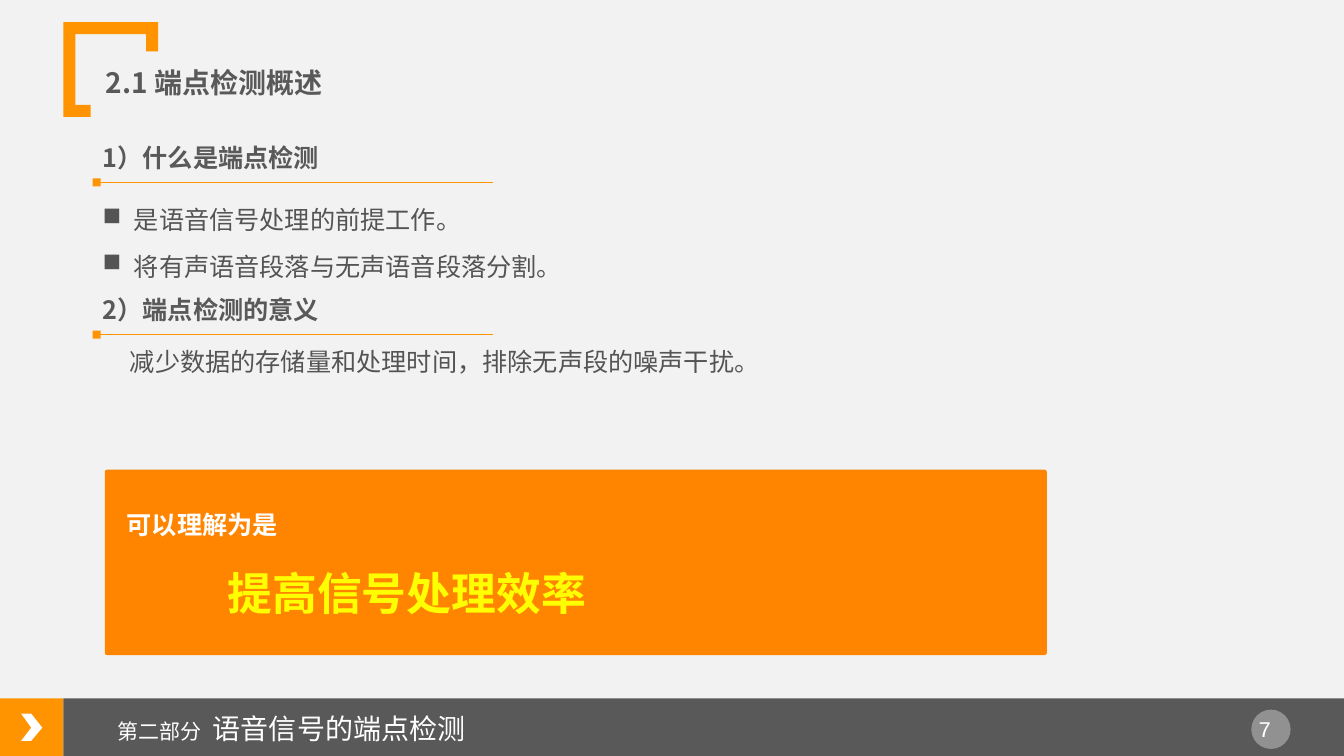
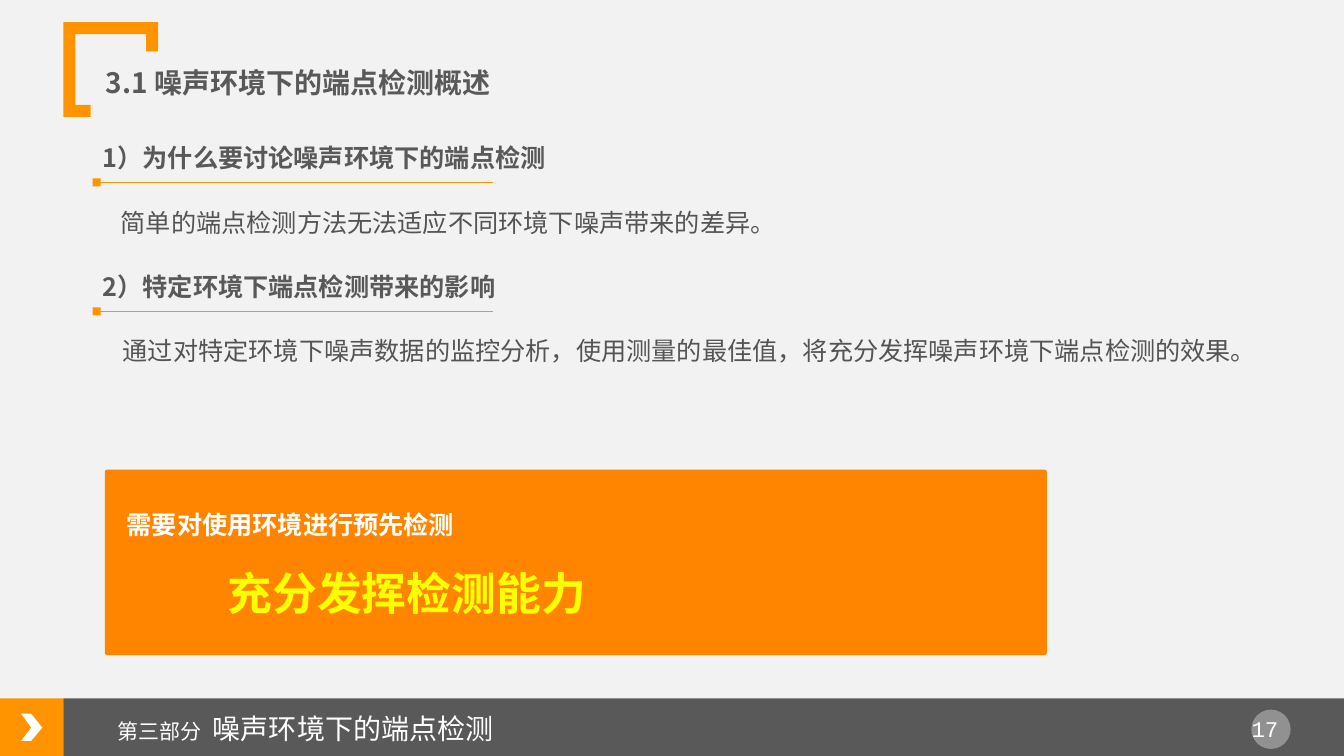
import pptx
import pptx.dml.color
import pptx.enum.shapes
import pptx.enum.text
import pptx.oxml.ns
import pptx.util
from lxml import etree

Inches = pptx.util.Inches
Pt = pptx.util.Pt
SHAPE = pptx.enum.shapes.MSO_SHAPE
ALIGN = pptx.enum.text.PP_ALIGN
ANCHOR = pptx.enum.text.MSO_ANCHOR
qn = pptx.oxml.ns.qn

FRAME = [(0.63, 0.22), (1.57, 0.22), (1.57, 0.51), (1.45, 0.51), (1.45, 0.34),
         (0.75, 0.34), (0.75, 1.04), (0.9, 1.04), (0.9, 1.16), (0.63, 1.16)]
CHEVRON = [(0.21, 7.08), (0.31, 7.08), (0.42, 7.22),
           (0.31, 7.35), (0.21, 7.35), (0.31, 7.22)]


def color(value):
    return pptx.dml.color.RGBColor.from_string(value)


class Deck:
    ORANGE = "FF9300"
    PANEL = "FF8500"
    GRAY = "595959"
    BODY = "545454"
    WHITE = "FFFFFF"
    YELLOW = "FFFF00"
    BACKGROUND = "F2F2F2"
    FONT = "Noto Sans CJK SC"
    NUMBER_FONT = "Courier New"

    def __init__(self):
        self.presentation = pptx.Presentation()
        self.presentation.slide_width = Inches(13.34)
        self.presentation.slide_height = Inches(7.5)
        self.slide = None

    def new_slide(self, part, topic, title, number):
        self.slide = self.presentation.slides.add_slide(self.presentation.slide_layouts[6])
        background = self.slide.background.fill
        background.solid()
        background.fore_color.rgb = color(self.BACKGROUND)
        self.footer(part, topic, number)
        self.outline(FRAME, self.ORANGE)
        self.text(0.95, 0.6, 6, 0.43, title, 20, self.GRAY, bold=True)

    def paint(self, shape, fill):
        shape.shadow.inherit = False
        shape.fill.solid()
        shape.fill.fore_color.rgb = color(fill)
        shape.line.fill.background()
        return shape

    def shape(self, kind, x, y, width, height, fill):
        return self.paint(self.slide.shapes.add_shape(
            kind, Inches(x), Inches(y), Inches(width), Inches(height)), fill)

    def outline(self, corners, fill):
        points = [(Inches(x), Inches(y)) for x, y in corners]
        builder = self.slide.shapes.build_freeform(*points[0], scale=1.0)
        builder.add_line_segments(points[1:], close=True)
        return self.paint(builder.convert_to_shape(), fill)

    def style(self, run, size, ink, bold=False, font=FONT):
        run.font.size = Pt(size)
        run.font.bold = bold
        run.font.color.rgb = color(ink)
        run.font.name = font
        etree.SubElement(run.font._element, qn("a:ea")).set("typeface", font)

    def frame(self, x, y, width, height, wrap=True):
        box = self.slide.shapes.add_textbox(
            Inches(x), Inches(y), Inches(width), Inches(height))
        box.text_frame.word_wrap = wrap
        return box.text_frame

    def text(self, x, y, width, height, words, size, ink, bold=False, font=FONT, wrap=True):
        frame = self.frame(x, y, width, height, wrap)
        frame.text = words
        for paragraph in frame.paragraphs:
            for run in paragraph.runs:
                self.style(run, size, ink, bold, font)
        return frame

    def footer(self, part, topic, number):
        self.shape(SHAPE.RECTANGLE, 0, 6.93, 0.63, 0.57, self.ORANGE)
        self.shape(SHAPE.RECTANGLE, 0.63, 6.93, 12.71, 0.57, self.GRAY)
        self.outline(CHEVRON, self.WHITE)
        badge = self.shape(SHAPE.OVAL, 12.42, 7.04, 0.39, 0.39, self.WHITE)
        tint = badge._element.spPr.find(qn("a:solidFill"))[0]
        etree.SubElement(tint, qn("a:alpha")).set("val", "34000")
        page = self.text(12.2, 7.05, 0.71, 0.4, str(number), 16, self.WHITE,
                         font=self.NUMBER_FONT)
        page.paragraphs[0].alignment = ALIGN.CENTER
        section = self.frame(1.07, 7.01, 5.43, 0.43)
        section.vertical_anchor = ANCHOR.MIDDLE
        for words, size in ((part, 15), (" ", 20), (topic, 20)):
            run = section.paragraphs[0].add_run()
            run.text = words
            self.style(run, size, self.WHITE)
            if words == " ":
                run.font._element.set("spc", "360")

    def heading(self, y, words):
        x = 0.92
        self.text(x, y, 6, 0.4, words, 18, self.GRAY, bold=True)
        rule = self.slide.shapes.add_connector(
            pptx.enum.shapes.MSO_CONNECTOR.STRAIGHT,
            Inches(x + 0.03), Inches(y + 0.45), Inches(x + 3.97), Inches(y + 0.45))
        rule.line.color.rgb = color(self.ORANGE)
        rule.line.width = Pt(0.5)
        etree.SubElement(rule._element.spPr, qn("a:effectLst"))
        self.shape(SHAPE.RECTANGLE, x, y + 0.41, 0.08, 0.08, self.ORANGE)

    def sentence(self, x, y, width, words):
        self.text(x, y, width, 0.4, words, 18, self.BODY, wrap=False)

    def bullets(self, y, items):
        frame = self.text(0.92, y, 11.79, 0.95, "\n".join(items), 18, self.BODY)
        for index, paragraph in enumerate(frame.paragraphs):
            properties = paragraph._p.get_or_add_pPr()
            properties.set("marL", str(Inches(0.31)))
            properties.set("indent", str(-Inches(0.31)))
            tint = etree.SubElement(properties, qn("a:buClr"))
            etree.SubElement(tint, qn("a:srgbClr")).set("val", self.BODY)
            etree.SubElement(properties, qn("a:buChar")).set("char", "■")
            paragraph.line_spacing = 1.3
            if index:
                paragraph.space_before = Pt(5)

    def conclusion(self, lead, message):
        panel = self.shape(SHAPE.ROUNDED_RECTANGLE, 1.04, 4.66, 9.35, 1.84, self.PANEL)
        panel.adjustments[0] = 0.013
        frame = self.frame(1.16, 4.85, 9.04, 1.35)
        frame.text = f"{lead}\n{message}"
        looks = ((18, self.WHITE), (32, self.YELLOW))
        for paragraph, (size, ink) in zip(frame.paragraphs, looks):
            paragraph.line_spacing = 1.5
            self.style(paragraph.runs[0], size, ink, bold=True)
        frame.paragraphs[1]._p.get_or_add_pPr().set("marL", str(Inches(1)))


def main():
    deck = Deck()

    deck.new_slide("第二部分", "语音信号的端点检测", "2.1 端点检测概述", 7)
    deck.heading(1.36, "1）什么是端点检测")
    deck.bullets(1.89, ["是语音信号处理的前提工作。", "将有声语音段落与无声语音段落分割。"])
    deck.heading(2.87, "2）端点检测的意义")
    deck.sentence(1.19, 3.39, 6.45, "减少数据的存储量和处理时间，排除无声段的噪声干扰。")
    deck.conclusion("可以理解为是", "提高信号处理效率")

    deck.new_slide("第三部分", "噪声环境下的端点检测", "3.1 噪声环境下的端点检测概述", 17)
    deck.heading(1.36, "1）为什么要讨论噪声环境下的端点检测")
    deck.sentence(1.1, 2.01, 6.7, "简单的端点检测方法无法适应不同环境下噪声带来的差异。")
    deck.heading(2.64, "2）特定环境下端点检测带来的影响")
    deck.sentence(1.12, 3.28, 11.45,
                  "通过对特定环境下噪声数据的监控分析，使用测量的最佳值，将充分发挥噪声环境下端点检测的效果。")
    deck.conclusion("需要对使用环境进行预先检测", "充分发挥检测能力")

    deck.presentation.save("out.pptx")


if __name__ == "__main__":
    main()
